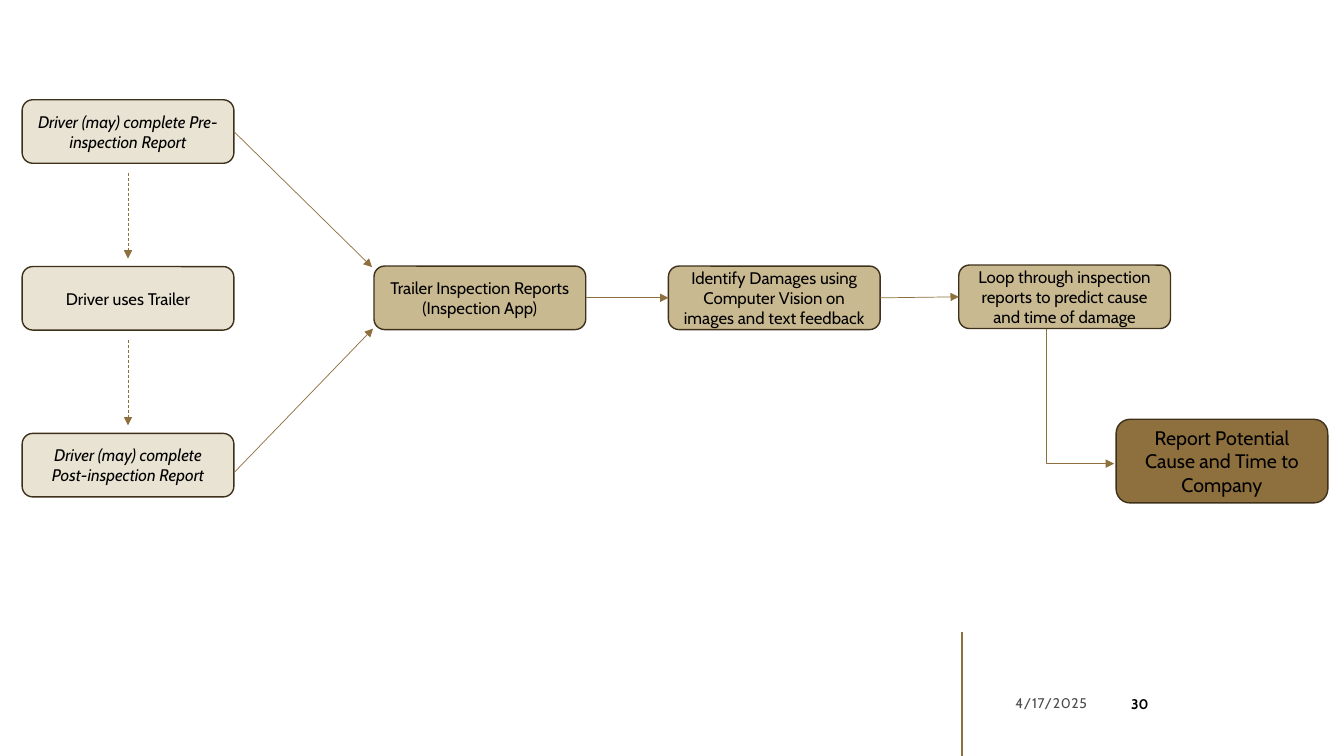
import pptx
import pptx.util
import pptx.dml.color
import pptx.enum.dml
import pptx.enum.shapes
import pptx.enum.text
import pptx.oxml.ns
import lxml.etree

Inches = pptx.util.Inches
RGB = pptx.dml.color.RGBColor
SHAPE = pptx.enum.shapes.MSO_SHAPE
CONNECTOR = pptx.enum.shapes.MSO_CONNECTOR
ALIGN = pptx.enum.text.PP_ALIGN

BRONZE = RGB(0x8E, 0x6F, 0x3E)
TAN = RGB(0xC9, 0xB9, 0x91)
CREAM = RGB(0xE9, 0xE3, 0xD3)
OUTLINE = RGB(0x3E, 0x31, 0x1B)
BLACK = RGB(0, 0, 0)
GREY = RGB(0x4D, 0x4D, 0x4D)

BOX_W, BOX_H = 2.1, 0.63


def write(sp, text, size, color=BLACK, align=ALIGN.CENTER, **extra):
    """Put one formatted paragraph in a shape and return its run."""
    tf = sp.text_frame
    tf.word_wrap = True
    tf.vertical_anchor = pptx.enum.text.MSO_ANCHOR.MIDDLE
    p = tf.paragraphs[0]
    p.alignment = align
    r = p.add_run()
    r.text = text
    r.font.color.rgb = color
    fmt = {"name": "Cabin", "size": pptx.util.Pt(size), **extra}
    for key, value in fmt.items():
        setattr(r.font, key, value)
    return r


def add_box(s, left, top, text, fill, width=BOX_W, height=BOX_H, size=12, **extra):
    """Add a rounded step box."""
    sp = s.shapes.add_shape(SHAPE.ROUNDED_RECTANGLE, Inches(left), Inches(top),
                            Inches(width), Inches(height))
    sp.shadow.inherit = False
    sp.fill.solid()
    sp.fill.fore_color.rgb = fill
    sp.line.color.rgb = OUTLINE
    sp.line.width = pptx.util.Pt(1)
    write(sp, text, size, **extra)
    return sp


def add_line(s, start, end, kind=CONNECTOR.STRAIGHT, width=0.5, dashed=False, arrow=True):
    """Add a bronze line, with an arrowhead unless told otherwise."""
    c = s.shapes.add_connector(kind, *map(Inches, start + end))
    c.line.color.rgb = BRONZE
    c.line.width = pptx.util.Pt(width)
    if dashed:
        c.line.dash_style = pptx.enum.dml.MSO_LINE.DASH
    qn = pptx.oxml.ns.qn
    if arrow:
        lxml.etree.SubElement(c.line._get_or_add_ln(), qn("a:tailEnd"), type="triangle")
    lxml.etree.SubElement(c._element.spPr, qn("a:effectLst"))
    return c


def driver_column(s, left, top):
    """Stack the three driver steps with dashed arrows between them."""
    steps = [("Driver (may) complete Pre-inspection Report", True),
             ("Driver uses Trailer", False),
             ("Driver (may) complete Post-inspection Report", True)]
    pitch, mid = 1.655, left + BOX_W / 2
    boxes = []
    for i, (text, italic) in enumerate(steps):
        y = top + i * pitch
        boxes.append(add_box(s, left, y, text, CREAM, italic=italic))
        if i:
            add_line(s, (mid, y - 0.93), (mid, y - 0.08), dashed=True)
    return boxes


def analysis_row(s, left, top):
    """Place the three analysis steps in a row, joined by arrows."""
    steps = [(0, 0, "Trailer Inspection Reports (Inspection App)"),
             (2.92, 0, "Identify Damages using Computer Vision on images and text feedback"),
             (5.8, -0.01, "Loop through inspection reports to predict cause and time of damage")]
    boxes = [add_box(s, left + dx, top + dy, text, TAN) for dx, dy, text in steps]
    for a, b in zip(boxes, boxes[1:]):
        c = add_line(s, (left, top), (left, top))
        c.begin_connect(a, 3)
        c.end_connect(b, 1)


def report_step(s, left, top):
    """Add the final report box and the elbow arrow that leads to it."""
    add_line(s, (left - 1.36, top - 1.09), (left - 0.02, top + 0.44), CONNECTOR.ELBOW)
    add_box(s, left, top, "Report Potential Cause and Time to Company", BRONZE,
            height=0.83, size=14)


def footer(s, left, top):
    """Add the footer rule, the date and the page number."""
    add_line(s, (left, top), (left, 7.5), width=1, arrow=False)
    tb = s.shapes.add_textbox(Inches(left + 0.22), Inches(top + 0.53),
                              Inches(1.12), Inches(0.35))
    r = write(tb, "4/17/2025", 10, GREY, ALIGN.RIGHT)
    r.font._element.set("spc", "50")
    sp = s.shapes.add_shape(SHAPE.OVAL, Inches(left + 1.5), Inches(top + 0.51),
                            Inches(0.53), Inches(0.4))
    sp.shadow.inherit = False
    sp.fill.background()
    sp.line.fill.background()
    sp.text_frame.margin_left = sp.text_frame.margin_right = Inches(0.02)
    write(sp, "30", 10, bold=True)


def main():
    """Build the inspection workflow slide."""
    prs = pptx.Presentation()
    prs.slide_width, prs.slide_height = Inches(13.33), Inches(7.5)
    s = prs.slides.add_slide(prs.slide_layouts[6])
    footer(s, 9.54, 6.27)
    report_step(s, 11.07, 4.16)
    pre, _, _ = driver_column(s, 0.22, 0.99)
    analysis_row(s, 3.71, 2.64)
    add_line(s, (2.33, 1.31), (3.69, 2.65)).begin_connect(pre, 3)
    add_line(s, (2.33, 4.68), (3.7, 3.26))
    prs.save("out.pptx")


if __name__ == "__main__":
    main()
